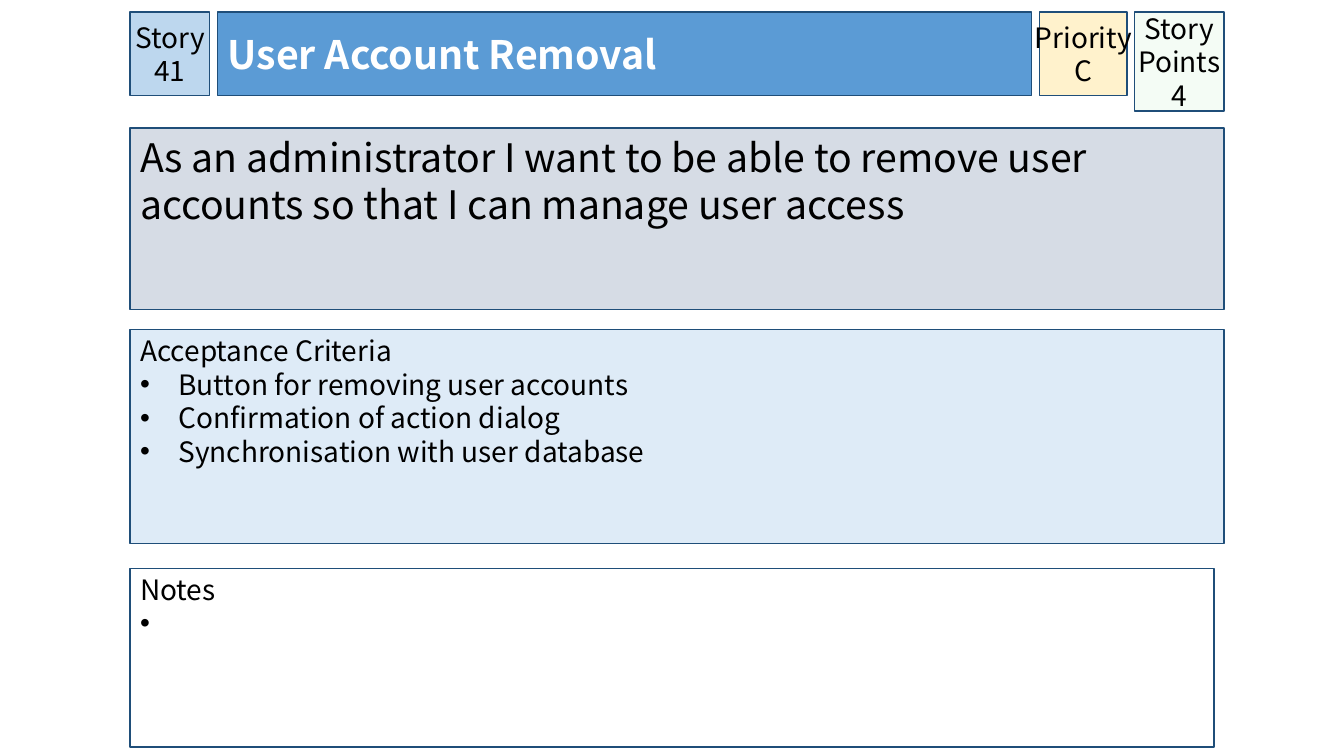
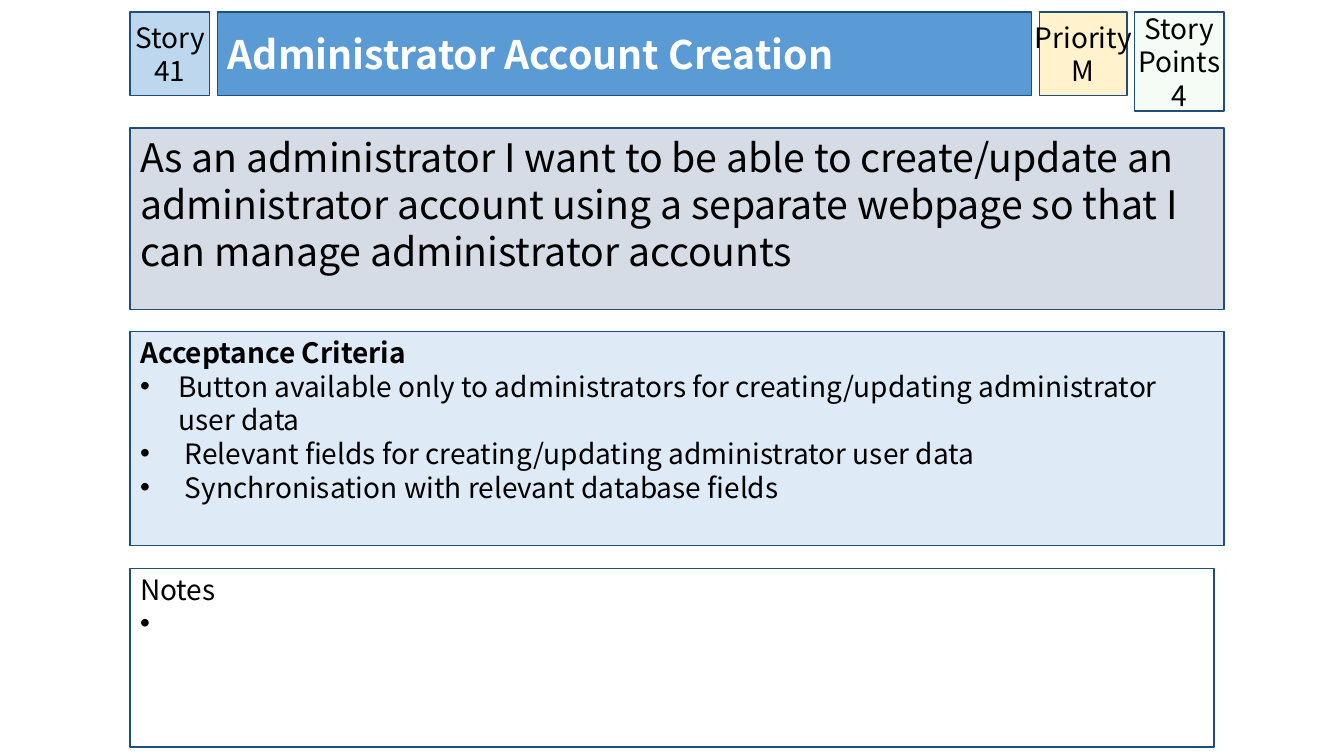
from pptx import Presentation
from pptx.dml.color import RGBColor
from pptx.enum.shapes import MSO_SHAPE as Shape
from pptx.enum.text import MSO_ANCHOR as Anchor, MSO_AUTO_SIZE as Fit, PP_ALIGN as Align
from pptx.oxml.ns import qn
from pptx.util import Pt
from lxml.etree import SubElement as Sub

PX = 9144  # 100 px to the inch
FONT = "Noto Sans CJK KR"
EDGE = "1F4E79"
INK = "000000"
LEFT, TOP = 129, 12


def hue(code):
    return RGBColor.from_string(code)


def fill_box(box, at, fill, lines, size=20, ink=INK, bold=False, mid=False,
             side=10, top=5, wrap=True, align=Align.LEFT, hang=0):
    """Style a box and write its lines; with hang, all but the first are bullets."""
    box.left, box.top, box.width, box.height = [n * PX for n in at]
    box.fill.solid()
    box.fill.fore_color.rgb = hue(fill)
    box.line.color.rgb = hue(EDGE)
    box.line.width = Pt(1)
    frame = box.text_frame
    look = {"auto_size": Fit.NONE, "word_wrap": wrap,
            "vertical_anchor": Anchor.MIDDLE if mid else Anchor.TOP,
            "margin_left": side * PX, "margin_right": side * PX,
            "margin_top": top * PX, "margin_bottom": 5 * PX}
    for key, val in look.items():
        setattr(frame, key, val)
    for i, line in enumerate(lines):
        para = frame.paragraphs[0] if i == 0 else frame.add_paragraph()
        form = {"alignment": align, "line_spacing": Pt(size * 1.2),
                "space_before": Pt(0), "space_after": Pt(0)}
        for key, val in form.items():
            setattr(para, key, val)
        run = para.add_run()
        run.text = line
        face = {"name": FONT, "size": Pt(size), "bold": bold and i == 0}
        for key, val in face.items():
            setattr(run.font, key, val)
        run.font.color.rgb = hue(ink)
        # Bullet or plain line
        prop = para._p.get_or_add_pPr()
        dent = hang * PX if i else 0
        prop.set("marL", str(dent))
        prop.set("indent", str(-dent))
        if dent:
            Sub(prop, qn("a:buFont")).set("typeface", "Arial")
            Sub(prop, qn("a:buChar")).set("char", "•")
        else:
            Sub(prop, qn("a:buNone"))


cards = [
    {"name": "User Account Removal", "rank": "C",
     "want": "As an administrator I want to be able to remove user accounts "
             "so that I can manage user access",
     "tests": ["Button for removing user accounts",
               "Confirmation of action dialog",
               "Synchronisation with user database"],
     "top": 327, "bold": False},
    {"name": "Administrator Account Creation", "rank": "M",
     "want": "As an administrator I want to be able to create/update an "
             "administrator account using a separate webpage so that I can "
             "manage administrator accounts",
     "tests": ["Button available only to administrators for creating/updating "
               "administrator user data",
               " Relevant fields for creating/updating administrator user data",
               " Synchronisation with relevant database fields"],
     "top": 329, "bold": True},
]

deck = Presentation()
deck.slide_width, deck.slide_height = 1333 * PX, 750 * PX
tag = {"mid": True, "side": 0, "align": Align.CENTER}

for card in cards:
    slide = deck.slides.add_slide(deck.slide_layouts[1])

    # Title band and acceptance list
    fill_box(slide.shapes.title, (216, TOP, 807, 83), "5B9BD5", [card["name"]],
             size=28, ink="FFFFFF", bold=True, mid=True)
    fill_box(slide.placeholders[1], (LEFT, card["top"], 1085, 212), "DEEBF7",
             ["Acceptance Criteria"] + card["tests"],
             bold=card["bold"], top=4, hang=38)

    # Tags, story and notes
    parts = [
        ((LEFT, TOP, 79, 83), "BDD7EE", ["Story 41"], tag),
        ((LEFT, 127, 1085, 180), "D6DCE5", [card["want"]], {"size": 28}),
        ((1125, TOP, 89, 98), "CCF0CD", ["Story Points", "4"], tag),
        ((1031, TOP, 87, 83), "FFF2CC", ["Priority", card["rank"]],
         {**tag, "wrap": False}),
        ((LEFT, 564, 1075, 177), "FFFFFF", ["Notes", " "],
         {"top": 4, "hang": 20}),
    ]
    for at, fill, lines, more in parts:
        box = slide.shapes.add_shape(Shape.RECTANGLE, 0, 0, PX, PX)
        box.shadow.inherit = False
        fill_box(box, at, fill, lines, **more)
        # The points tag is mostly see-through
        if lines[0] == "Story Points":
            tint = box.fill._xPr.find(qn("a:solidFill"))[0]
            Sub(tint, qn("a:alpha")).set("val", "20000")

deck.save("out.pptx")
